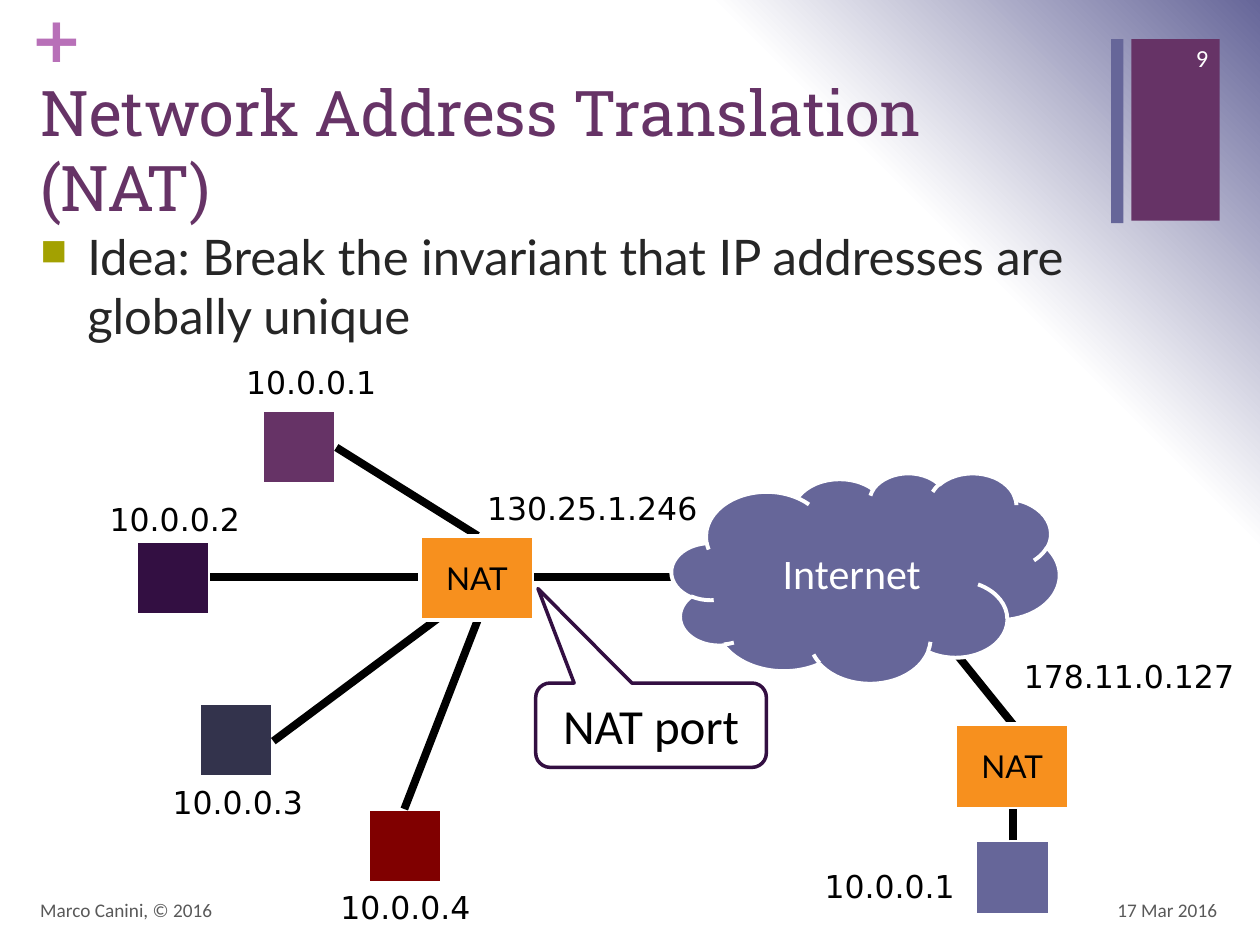
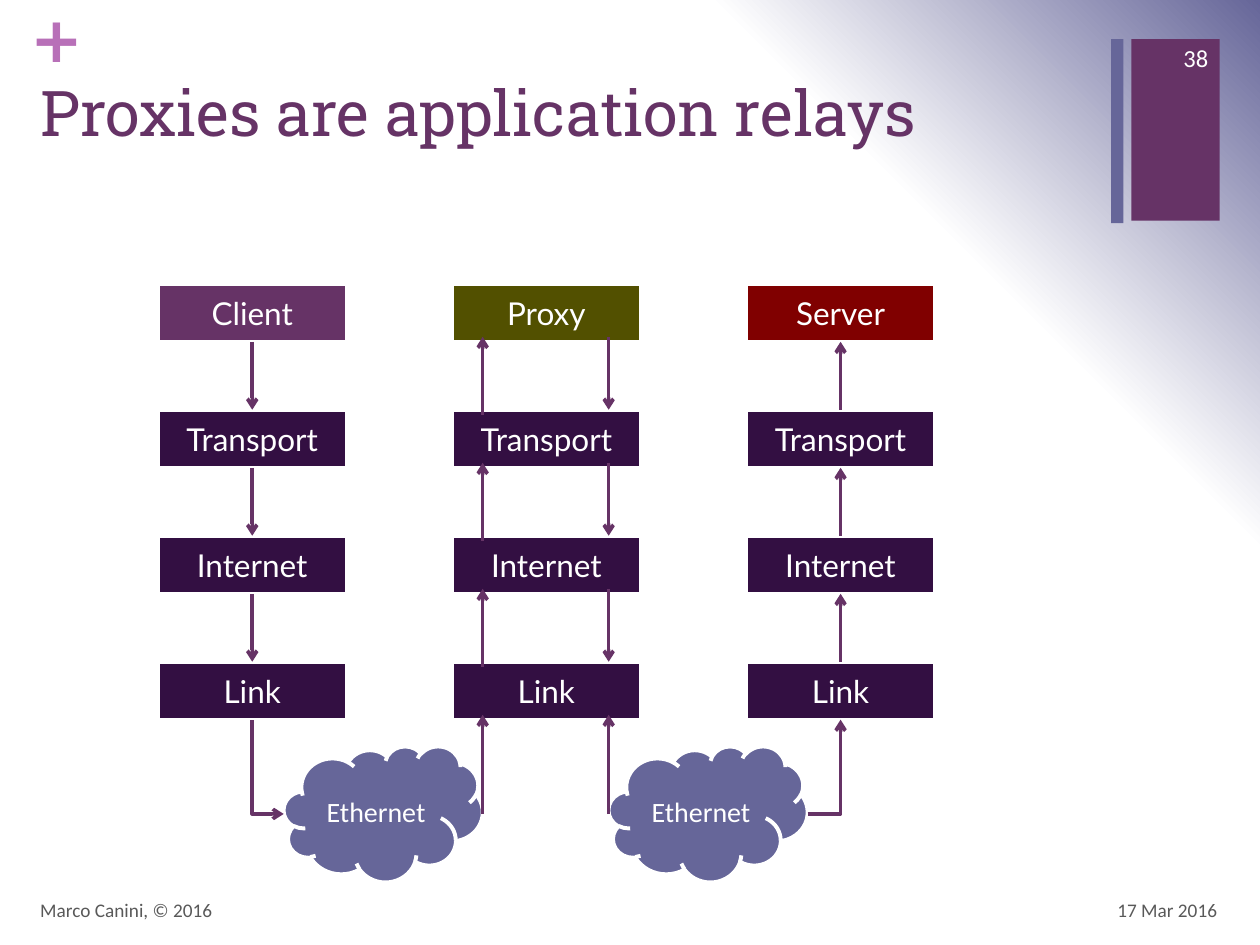
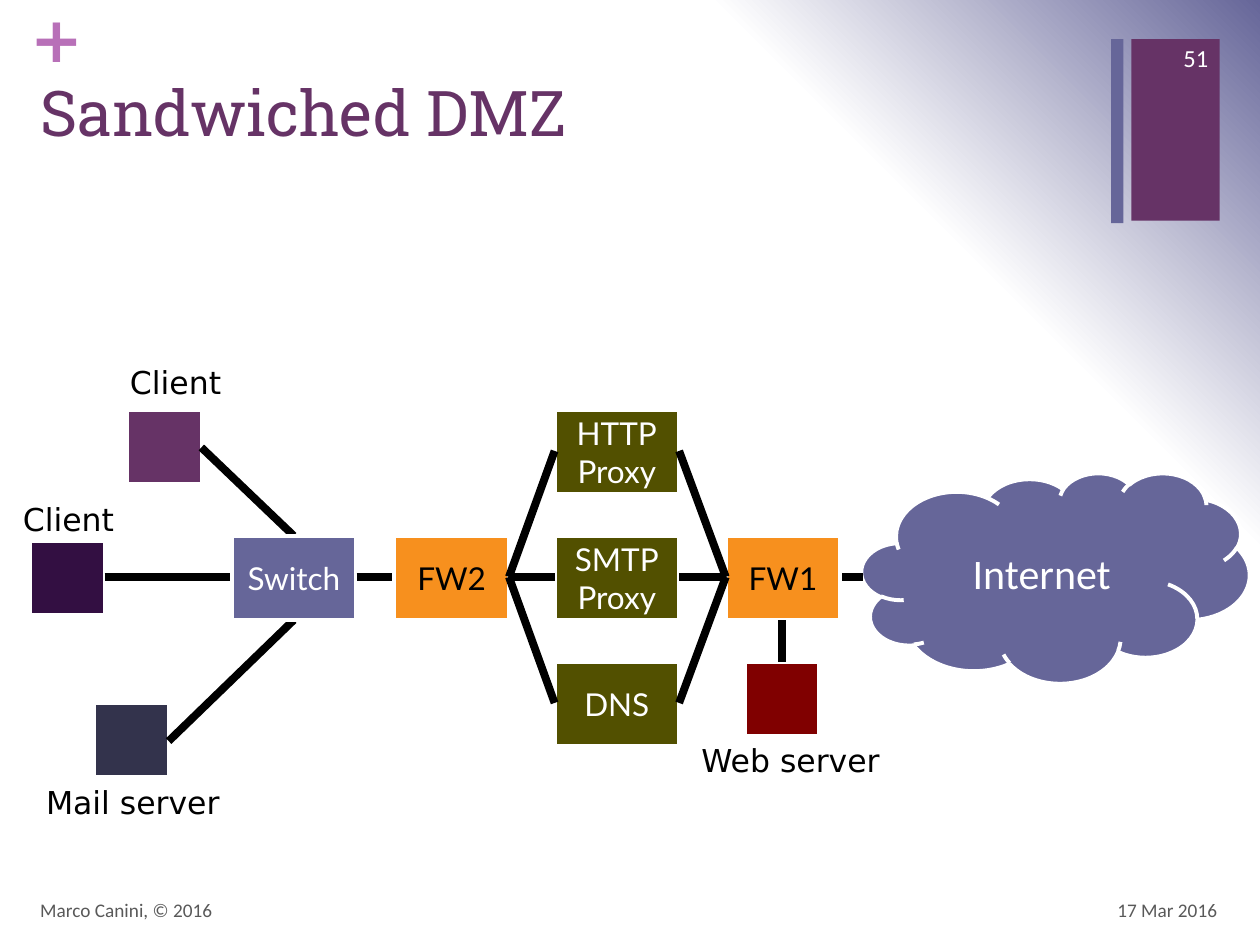
from dataclasses import dataclass

import pptx
import pptx.dml.color
import pptx.enum.shapes
import pptx.enum.text
import pptx.oxml
import pptx.oxml.ns
import pptx.util
from lxml import etree

Cm = pptx.util.Cm
Pt = pptx.util.Pt
qn = pptx.oxml.ns.qn
SHAPE = pptx.enum.shapes.MSO_SHAPE
CONNECTOR = pptx.enum.shapes.MSO_CONNECTOR
ALIGN = pptx.enum.text.PP_ALIGN
ANCHOR = pptx.enum.text.MSO_ANCHOR
AUTO = pptx.enum.text.MSO_AUTO_SIZE


@dataclass(frozen=True)
class Theme:
    """Colours, fonts and type sizes of the deck."""
    white: str = "FFFFFF"
    black: str = "000000"
    purple: str = "663366"
    lavender: str = "666699"
    plum: str = "330F42"
    slate: str = "33334C"
    maroon: str = "800000"
    olive: str = "525000"
    orange: str = "F7901E"
    pink: str = "B870B8"
    bullet: str = "A3A101"
    body_text: str = "262626"
    footer_text: str = "595959"
    title_font: str = "Roboto Slab"
    body_font: str = "Lato"
    shape_font: str = "Calibri"
    label_font: str = "DejaVu Sans"
    title_size: int = 36
    body_size: int = 28
    cloud_size: int = 24
    label_size: int = 18
    small_cloud_size: int = 16
    number_size: int = 14
    footer_size: int = 11
    outline: float = 2.25
    link: float = 4.5
    arrow: float = 2


T = Theme()
HOST = 1.5
BOX_H = 1.7
NODE_W = 2.31
WIDE_W = 2.51
MID_Y = 11.63


def rgb(color):
    """Turn a hex string into a colour."""
    return pptx.dml.color.RGBColor.from_string(color)


def write(tf, text, font, size, color, align=ALIGN.LEFT, anchor=ANCHOR.TOP, bold=False):
    """Fill a text frame with one paragraph, breaking lines at newlines."""
    tf.word_wrap = True
    tf.auto_size = AUTO.NONE
    tf.vertical_anchor = anchor
    p = tf.paragraphs[0]
    p.alignment = align
    for i, line in enumerate(text.split("\n")):
        if i:
            p.add_line_break()
        r = p.add_run()
        r.text = line
        r.font.name = font
        r.font.size = Pt(size)
        r.font.bold = bold
        r.font.color.rgb = rgb(color)
    return p


def add_text(s, at, *args, **kwargs):
    """Add a wrapping text box and return it."""
    sp = s.shapes.add_textbox(*map(Cm, at))
    write(sp.text_frame, *args, **kwargs)
    return sp


def add_label(s, x, y, w, text):
    """Add a centred caption that grows with its text."""
    sp = add_text(s, (x, y, w, 1.02), text, T.label_font, T.label_size, T.black, ALIGN.CENTER)
    sp.text_frame.word_wrap = False
    sp.text_frame.auto_size = AUTO.SHAPE_TO_FIT_TEXT


def add_shape(s, kind, at, fill, line=T.white, width=T.outline):
    """Add a flat preset shape, outlined unless line is None."""
    sp = s.shapes.add_shape(kind, *map(Cm, at))
    sp.shadow.inherit = False
    sp.fill.solid()
    sp.fill.fore_color.rgb = rgb(fill)
    if line:
        sp.line.color.rgb = rgb(line)
        sp.line.width = Pt(width)
    else:
        sp.line.fill.background()
    return sp


def add_host(s, x, y, fill):
    """Add a square that stands for a machine."""
    add_shape(s, SHAPE.RECTANGLE, (x, y, HOST, HOST), fill)


def add_box(s, at, text, fill, color=T.white):
    """Add a rectangle with a centred name."""
    sp = add_shape(s, SHAPE.RECTANGLE, at, fill)
    write(sp.text_frame, text, T.body_font, T.label_size, color, ALIGN.CENTER, ANCHOR.MIDDLE)


def add_gateway(s, x, y, text):
    """Add an orange NAT or firewall box."""
    add_box(s, (x, y, NODE_W, BOX_H), text, T.orange, T.black)


def add_cloud(s, at, text, size):
    """Add a named network cloud."""
    sp = add_shape(s, SHAPE.CLOUD, at, T.lavender)
    write(sp.text_frame, text, T.shape_font, size, T.white, ALIGN.CENTER, ANCHOR.MIDDLE)


def add_internet(s, x):
    """Add the large Internet cloud."""
    add_cloud(s, (x, 9.53, 7.82, 4.24), "Internet", T.cloud_size)


def add_line(s, ends, color=T.black, width=T.link, arrow=None, bent=False):
    """Add a connector; arrow names the end that carries the arrowhead."""
    kind = CONNECTOR.ELBOW if bent else CONNECTOR.STRAIGHT
    c = s.shapes.add_connector(kind, *map(Cm, ends))
    c.line.color.rgb = rgb(color)
    c.line.width = Pt(width)
    spPr = c.element.spPr
    if bent:
        spPr.find(qn("a:prstGeom")).set("prst", "bentConnector2")
    if arrow:
        etree.SubElement(spPr.find(qn("a:ln")), qn(f"a:{arrow}End"), type="arrow")
    etree.SubElement(spPr, qn("a:effectLst"))


def add_links(s, *links):
    """Add several thick black network links."""
    for ends in links:
        add_line(s, ends)


def add_arrow(s, ends, arrow="tail", bent=False):
    """Add a thin purple arrow of the data flow."""
    add_line(s, ends, T.purple, T.arrow, arrow, bent)


def add_bullet(s, at, text):
    """Add a paragraph with a square bullet."""
    sp = add_text(s, at, text, T.body_font, T.body_size, T.body_text)
    p = sp.text_frame.paragraphs[0]
    p.space_before = Pt(20)
    pPr = p._p.get_or_add_pPr()
    pPr.set("marL", str(Cm(0.95)))
    pPr.set("indent", str(Cm(-0.95)))
    color = etree.SubElement(pPr, qn("a:buClr"))
    etree.SubElement(color, qn("a:srgbClr"), val=T.bullet)
    etree.SubElement(pPr, qn("a:buSzPct"), val="75000")
    etree.SubElement(pPr, qn("a:buChar"), char="■")


def set_background(master):
    """Give the master a radial gradient centred on the lower left corner."""
    master.background.fill.gradient()
    grad = master.element.find(".//" + qn("p:bg")).find(".//" + qn("a:gradFill"))
    for child in list(grad):
        grad.remove(child)
    stops = etree.SubElement(grad, qn("a:gsLst"))
    for pos, color in ((0, T.white), (75, T.white), (100, T.lavender)):
        stop = etree.SubElement(stops, qn("a:gs"), pos=str(pos * 1000))
        etree.SubElement(stop, qn("a:srgbClr"), val=color)
    radial = etree.SubElement(grad, qn("a:path"))
    radial.set("path", "circle")
    etree.SubElement(radial, qn("a:fillToRect"), t="100000", r="100000")


def new_slide(prs, title, number):
    """Add a title-only slide with bands, plus sign, footer and number."""
    s = prs.slides.add_slide(prs.slide_layouts[5])
    add_shape(s, SHAPE.RECTANGLE, (22.81, 0.79, 1.78, 3.66), T.purple, None)
    add_shape(s, SHAPE.RECTANGLE, (22.4, 0.79, 0.25, 3.71), T.lavender, None)
    plus = add_text(s, (0.61, 0, 0.74, 1.55), "+", T.label_font, T.title_size, T.pink, bold=True)
    tf = plus.text_frame
    tf.margin_left = tf.margin_top = tf.margin_right = tf.margin_bottom = 0

    sp = s.shapes.title
    sp.left, sp.top, sp.width, sp.height = map(Cm, (0.56, 1.35, 21.82, 3.1))
    write(sp.text_frame, title, T.title_font, T.title_size, T.purple)

    footer = T.shape_font, T.footer_size, T.footer_text
    add_text(s, (0.56, 17.83, 17.02, 1.02), "Marco Canini, © 2016", *footer, anchor=ANCHOR.MIDDLE)
    add_text(s, (18.87, 17.83, 5.92, 1.02), "17 Mar 2016", *footer, ALIGN.RIGHT, ANCHOR.MIDDLE)
    add_text(s, (23.06, 0.66, 1.55, 1.02), str(number), T.shape_font, T.number_size, T.white,
             ALIGN.RIGHT, ANCHOR.MIDDLE)
    return s


def nat_slide(prs):
    """Show private networks joined to the Internet by NAT boxes."""
    s = new_slide(prs, "Network Address Translation (NAT)", 9)
    add_bullet(s, (0.56, 4.45, 24.23, 13.39),
               "Idea: Break the invariant that IP addresses are globally unique")
    hosts = (
        (5.28, 8.26, T.purple, 4.65, 7.19, "10.0.0.1"),
        (2.74, 10.9, T.plum, 1.9, 9.96, "10.0.0.2"),
        (4.01, 14.17, T.slate, 3.17, 15.67, "10.0.0.3"),
        (7.42, 16.31, T.maroon, 6.55, 17.78, "10.0.0.4"),
        (19.66, 16.94, T.lavender, 16.31, 17.35, "10.0.0.1"),
    )
    for x, y, fill, label_x, label_y, address in hosts:
        add_host(s, x, y, fill)
        add_label(s, label_x, label_y, 3.25, address)
    add_links(s, (6.78, 9.02, 9.63, 10.8), (4.24, MID_Y, 8.46, MID_Y),
              (5.51, 14.94, 9.09, 12.27), (8.15, 16.31, 9.63, 12.5))
    add_gateway(s, 8.46, 10.8, "NAT")
    add_links(s, (10.77, MID_Y, 13.56, MID_Y), (20.42, 14.6, 19.05, 12.9))
    add_internet(s, 13.54)
    add_gateway(s, 19.25, 14.6, "NAT")
    add_links(s, (20.42, 16.94, 20.42, 16.31))
    add_label(s, 9.5, 9.73, 4.88, "130.25.1.246")
    add_label(s, 20.32, 13.13, 4.88, "178.11.0.127")

    callout = add_shape(s, SHAPE.ROUNDED_RECTANGULAR_CALLOUT, (10.8, 13.77, 4.65, 1.7),
                        T.white, T.plum, T.arrow)
    for i, value in enumerate((-0.49, -1.62, 0.17)):
        callout.adjustments[i] = value
    write(callout.text_frame, "NAT port", T.shape_font, T.body_size, T.black,
          ALIGN.CENTER, ANCHOR.MIDDLE)


def proxy_slide(prs):
    """Show a proxy relaying between two protocol stacks."""
    s = new_slide(prs, "Proxies are application relays", 38)
    left, top, step_x, step_y, w, h = 3.18, 5.72, 5.93, 2.54, 3.81, 1.17
    stacks = (("Client", T.purple), ("Proxy", T.olive), ("Server", T.maroon))
    for col, (name, fill) in enumerate(stacks):
        for row, text in enumerate((name, "Transport", "Internet", "Link")):
            add_box(s, (left + col * step_x, top + row * step_y, w, h), text,
                    T.plum if row else fill)

    cloud_y, cloud_w, wire_y = 15.04, 4.01, 16.41
    clouds = (5.72, 12.27)
    for x in clouds:
        add_cloud(s, (x, cloud_y, cloud_w, 2.74), "Ethernet", T.small_cloud_size)

    client_x = left + w / 2
    server_x = client_x + 2 * step_x
    relay_in, relay_out = 9.73, 12.27
    overlap = 0.1
    for row in range(3):
        bottom = top + row * step_y + h
        below = top + (row + 1) * step_y
        add_arrow(s, (client_x, bottom, client_x, below))
        add_arrow(s, (server_x, below, server_x, bottom))
        add_arrow(s, (relay_in, below + overlap, relay_in, bottom - overlap))
        add_arrow(s, (relay_out, bottom - overlap, relay_out, below))

    link_bottom = top + 3 * step_y + h
    for x in (relay_in, relay_out):
        add_arrow(s, (x, wire_y, x, link_bottom - overlap))
    add_arrow(s, (clouds[0], wire_y, client_x, link_bottom), "head", bent=True)
    add_arrow(s, (clouds[1] + cloud_w, wire_y, server_x, link_bottom), bent=True)


def dmz_slide(prs):
    """Show proxies sandwiched between two firewalls."""
    s = new_slide(prs, "Sandwiched DMZ", 51)
    hosts = (
        (2.57, 8.26, T.purple, 2.36, 7.19, 2.36, "Client"),
        (0.61, 10.9, T.plum, 0.2, 9.96, 2.36, "Client"),
        (1.9, 14.17, T.slate, 0.66, 15.67, 4.04, "Mail server"),
        (15.01, 13.34, T.maroon, 13.87, 14.81, 4.14, "Web server"),
    )
    for x, y, fill, label_x, label_y, label_w, text in hosts:
        add_host(s, x, y, fill)
        add_label(s, label_x, label_y, label_w, text)
    add_links(s, (4.06, 9.02, 5.92, 10.8), (2.11, MID_Y, 4.67, MID_Y),
              (3.4, 14.94, 5.92, 12.5))
    add_box(s, (4.67, 10.8, WIDE_W, BOX_H), "Switch", T.lavender)
    add_links(s, (7.19, MID_Y, 7.95, MID_Y))
    add_internet(s, 17.37)
    add_links(s, (16.92, MID_Y, 17.4, MID_Y))
    add_gateway(s, 7.95, 10.8, "FW2")
    add_gateway(s, 14.63, 10.8, "FW1")
    add_links(s, (15.77, 13.34, 15.77, 12.5))
    proxy_x, step = 11.18, 2.54
    for i, text in enumerate(("HTTP\nProxy", "SMTP\nProxy", "DNS")):
        y = MID_Y + (i - 1) * step
        add_box(s, (proxy_x, 8.26 + i * step, WIDE_W, BOX_H), text, T.olive)
        add_links(s, (proxy_x, y, 7.95 + NODE_W, MID_Y),
                  (14.63, MID_Y, proxy_x + WIDE_W, y))


def main():
    """Build and save the deck."""
    prs = pptx.Presentation()
    prs.slide_width, prs.slide_height = Cm(25.4), Cm(19.05)
    set_background(prs.slide_master)
    nat_slide(prs)
    proxy_slide(prs)
    dmz_slide(prs)
    prs.save("out.pptx")


if __name__ == "__main__":
    main()
